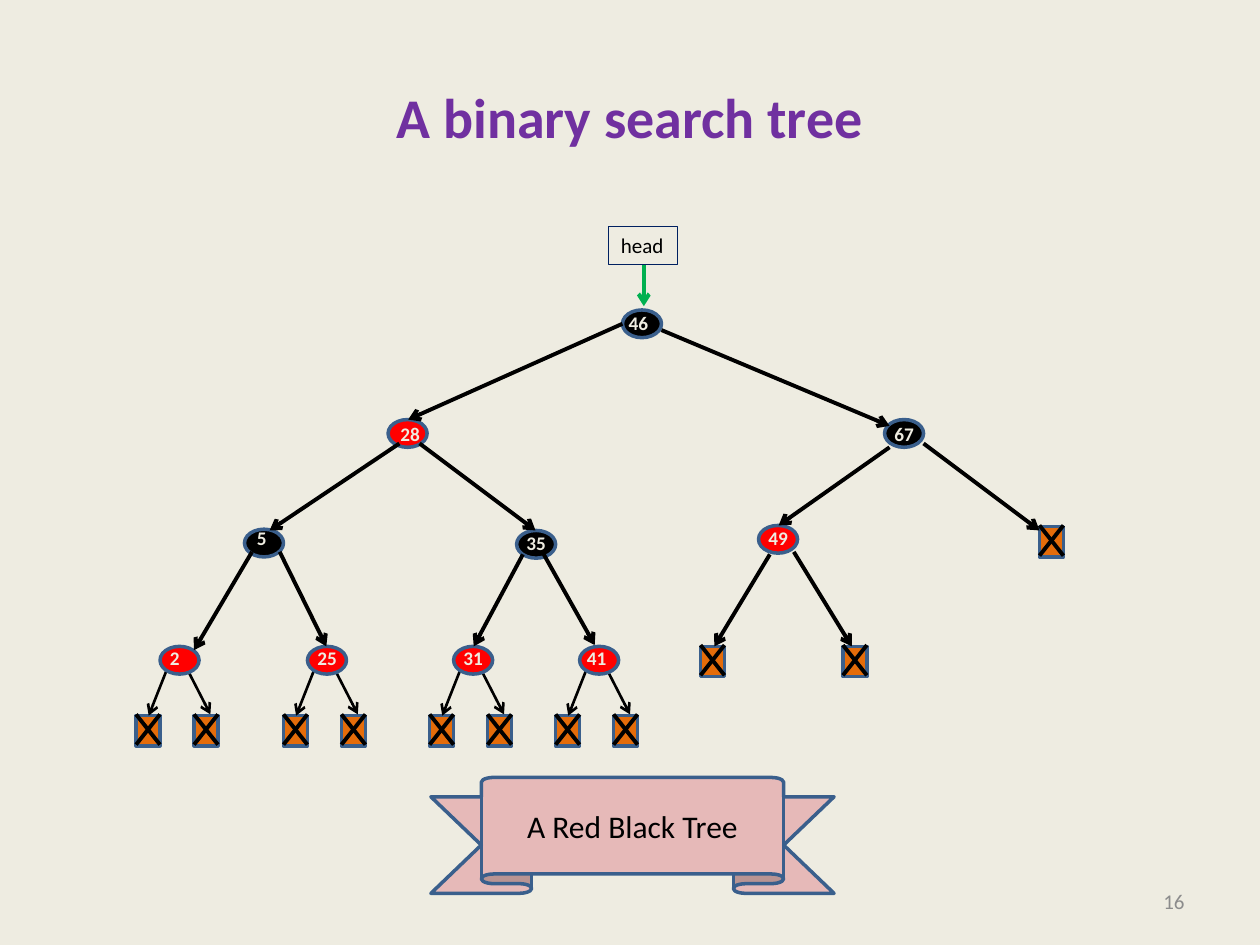
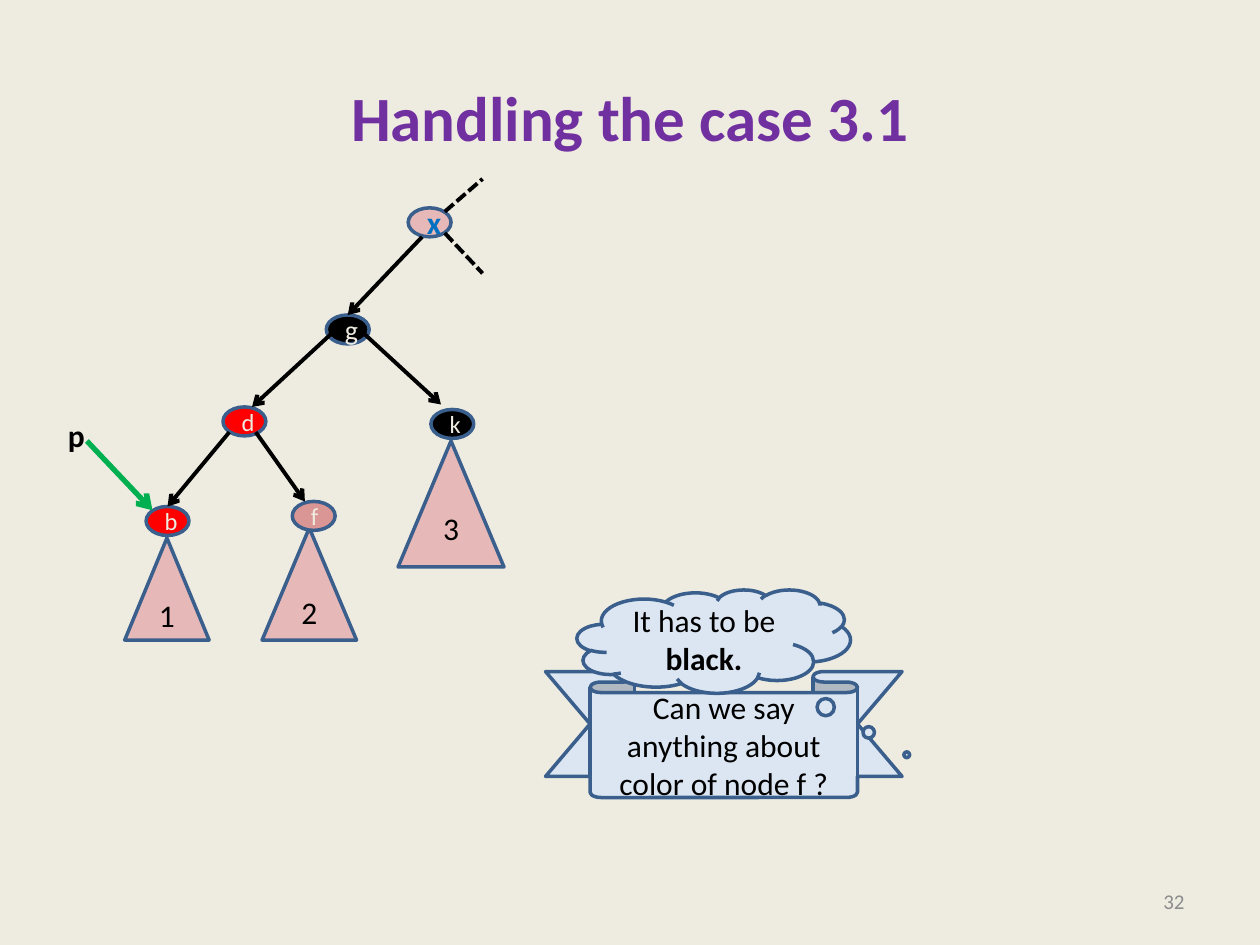
from lxml import etree
from pptx import Presentation
from pptx.dml.color import RGBColor
from pptx.enum.dml import MSO_LINE_DASH_STYLE as DASH
from pptx.enum.shapes import MSO_CONNECTOR, MSO_SHAPE
from pptx.enum.text import MSO_ANCHOR as ANCHOR, MSO_AUTO_SIZE, PP_ALIGN as ALIGN
from pptx.oxml.ns import qn
from pptx.util import Inches, Pt

COLORS = {
    "page": "EEECE1", "title": "7030A0", "number": "8C8C8C", "outline": "3A5F8C",
    "black": "000000", "red": "FF0000", "nil": "E46C0A", "pointer": "00B050",
    "frame": "002060", "pink": "E6B9B8", "rose": "D99694", "sky": "DCE6F2",
    "root": "0070C0",
}
FONT = "Calibri"
NODE = {"width": 0.31, "height": 0.22}
NIL = {"width": 0.19, "height": 0.24}
CASE_NODE = {"width": 0.34, "height": 0.23}

SEARCH_NODES = [
    ("46", 3.94, 0.66, "black", -0.05, -0.04),
    ("67", 6.02, 1.53, "black", -0.02, -0.03),
    ("28", 2.08, 1.53, "red", 0, -0.03),
    ("5", 0.94, 2.4, "black", 0, -0.07),
    ("35", 3.1, 2.41, "black", -0.02, -0.04),
    ("49", 5.02, 2.37, "red", -0.02, -0.04),
]
SEARCH_LEAVES = [
    ("2", 0.27, 3.33, "red", -0.02, -0.05),
    ("25", 1.44, 3.33, "red", -0.02, -0.05),
    ("31", 2.6, 3.33, "red", -0.02, -0.05),
    ("41", 3.6, 3.33, "red", -0.04, -0.05),
]
SEARCH_NILS = [(4.56, 3.33), (5.69, 3.33), (7.25, 2.38)]
SEARCH_EDGES = [
    (3.94, 0.77, 2.24, 1.53), (4.25, 0.82, 6.06, 1.58),
    (2.17, 1.72, 1.14, 2.41), (2.33, 1.72, 3.25, 2.41),
    (6.06, 1.75, 5.18, 2.37), (6.33, 1.72, 7.25, 2.41),
    (1, 2.58, 0.54, 3.36), (1.22, 2.58, 1.59, 3.33),
    (3.15, 2.6, 2.76, 3.33), (3.31, 2.59, 3.72, 3.32),
    (5.11, 2.6, 4.67, 3.33), (5.3, 2.58, 5.76, 3.33),
]

CASE_NODES = [
    ("x", 2.84, 0.25, "pink", {"size": 18, "bold": True, "color": "root"}),
    ("g", 2.19, 1.1, "black", {"size": 16}),
    ("d", 1.37, 1.83, "red", {}),
    ("b", 0.76, 2.62, "red", {}),
    ("k", 3.02, 1.85, "black", {}),
    ("f", 1.92, 2.58, "rose", {}),
]
CASE_EDGES = [
    (2.95, 0.48, 2.36, 1.1), (2.25, 1.23, 1.6, 1.83), (2.47, 1.23, 3.1, 1.81),
    (1.42, 2.03, 0.93, 2.62), (1.63, 2.03, 2.02, 2.58),
]
CASE_STUBS = [(3.13, 0.28, 3.43, 0.02), (3.13, 0.45, 3.43, 0.77)]
CASE_SUBTREES = [
    ("1", 0.59, 2.87, 0.67, 0.81, 0.05),
    ("2", 1.68, 2.79, 0.75, 0.89, 0.05),
    ("3", 2.76, 2.1, 0.84, 1, 0.17),
]


def rgb(name):
    """Look up a colour by its name."""
    return RGBColor.from_string(COLORS[name])


def write(tf, *texts, size=18, color="black", bold=False, align=ALIGN.CENTER,
          anchor=ANCHOR.MIDDLE):
    """Fill a text frame with one paragraph; a (text, bold) pair overrides bold."""
    tf.vertical_anchor = anchor
    p = tf.paragraphs[0]
    p.alignment = align
    for text in texts:
        text, strong = text if isinstance(text, tuple) else (text, bold)
        r = p.add_run()
        r.text = text
        for key, value in {"name": FONT, "size": Pt(size), "bold": strong}.items():
            setattr(r.font, key, value)
        r.font.color.rgb = rgb(color)


def add_label(s, x, y, width, height, text, **fmt):
    """Add a text box."""
    box = s.shapes.add_textbox(*map(Inches, (x, y, width, height)))
    write(box.text_frame, text, **fmt)


def add_figure(s, kind, x, y, width, height, fill=None, line="outline", weight=2):
    """Add an outlined preset shape, filled when a fill is named."""
    sp = s.shapes.add_shape(kind, *map(Inches, (x, y, width, height)))
    sp.shadow.inherit = False
    if fill:
        sp.fill.solid()
        sp.fill.fore_color.rgb = rgb(fill)
    else:
        sp.fill.background()
    sp.line.color.rgb = rgb(line)
    sp.line.width = Pt(weight)
    return sp


def add_line(s, x, y, ends, color="black", weight=2.25, arrow=True, dash=None):
    """Draw a line whose ends are given relative to the point x, y."""
    x1, y1, x2, y2 = ends
    line = s.shapes.add_connector(
        MSO_CONNECTOR.STRAIGHT, *map(Inches, (x + x1, y + y1, x + x2, y + y2)))
    line.line.color.rgb = rgb(color)
    line.line.width = Pt(weight)
    if dash:
        line.line.dash_style = dash
    if arrow:
        etree.SubElement(line.line._get_or_add_ln(), qn("a:tailEnd"), type="arrow")
    etree.SubElement(line._element.spPr, qn("a:effectLst"))


def add_nil(s, x, y):
    """Draw a crossed box for an empty child."""
    add_figure(s, MSO_SHAPE.RECTANGLE, x, y, **NIL, fill="nil")
    width, height = NIL.values()
    for ends in ((width, 0, 0, height), (0, 0, width, height)):
        add_line(s, x, y - 0.01, ends, arrow=False)


def add_nil_children(s, x, y):
    """Hang two empty children below the node at x, y."""
    for dx, ends in ((-0.19, (0.06, 0.17, -0.09, 0.55)),
                     (0.27, (0.21, 0.17, 0.4, 0.54))):
        add_nil(s, x + dx, y + 0.55)
        add_line(s, x, y, ends, weight=1.5)


def add_head(s, x, y):
    """Draw the head variable and its pointer."""
    add_line(s, x, y, (0.28, 0.3, 0.28, 0.63), color="pointer")
    sp = add_figure(s, MSO_SHAPE.RECTANGLE, x, y, 0.55, 0.3, line="frame", weight=0.75)
    write(sp.text_frame, "head", size=12, align=ALIGN.LEFT, anchor=ANCHOR.TOP)


def add_search_tree(s, left, top):
    """Draw the red black tree from its top left corner."""
    for _, x, y, *_ in SEARCH_LEAVES:
        add_nil_children(s, left + x, top + y)
    for x, y in SEARCH_NILS:
        add_nil(s, left + x, top + y)
    nodes = SEARCH_NODES + SEARCH_LEAVES
    for _, x, y, fill, *_ in nodes:
        add_figure(s, MSO_SHAPE.OVAL, left + x, top + y, **NODE, fill=fill)
    for ends in SEARCH_EDGES:
        add_line(s, left, top, ends)
    add_head(s, left + 3.83, top)
    for key, x, y, _, dx, dy in nodes:
        add_label(s, left + x + dx, top + y + dy, 0.2 + 0.08 * len(key), 0.29, key,
                  size=11, color="page", bold=True, align=ALIGN.LEFT,
                  anchor=ANCHOR.TOP)


def add_case_tree(s, left, top):
    """Draw the tree of the case, with its subtrees and the pointer p."""
    for text, x, y, width, height, inset in CASE_SUBTREES:
        sp = add_figure(s, MSO_SHAPE.ISOSCELES_TRIANGLE, left + x, top + y,
                        width, height, fill="pink")
        sp.text_frame.margin_bottom = Inches(inset)
        write(sp.text_frame, text)
    for text, x, y, fill, fmt in CASE_NODES:
        sp = add_figure(s, MSO_SHAPE.OVAL, left + x, top + y, **CASE_NODE, fill=fill)
        write(sp.text_frame, text, **{"size": 14, "color": "page", **fmt})
    for ends in CASE_EDGES:
        add_line(s, left, top, ends)
    for ends in CASE_STUBS:
        add_line(s, left, top, ends, arrow=False, dash=DASH.SQUARE_DOT)
    add_line(s, left, top, (0.29, 2.1, 0.81, 2.65), color="pointer", weight=3)
    add_label(s, left + 0.04, top + 1.85, 0.34, 0.4, "p", bold=True,
              align=ALIGN.LEFT, anchor=ANCHOR.TOP)


def add_callout(s, kind, box, fill, adjustments, *texts):
    """Draw a ribbon or cloud with centred text."""
    sp = add_figure(s, kind, *box, fill=fill)
    for i, value in enumerate(adjustments):
        sp.adjustments[i] = value
    write(sp.text_frame, *texts)


def add_slide(prs, title, size, number):
    """Add a slide with its background, title and number."""
    s = prs.slides.add_slide(prs.slide_layouts[5])
    s.background.fill.solid()
    s.background.fill.fore_color.rgb = rgb("page")
    sp = s.shapes.title
    for key, value in zip(("left", "top", "width", "height"), (0.5, 0.3, 9, 1.25)):
        setattr(sp, key, Inches(value))
    sp.text_frame.auto_size = MSO_AUTO_SIZE.NONE
    write(sp.text_frame, title, size=size, color="title", bold=True)
    add_label(s, 7.17, 6.95, 2.33, 0.4, number, size=12, color="number",
              align=ALIGN.RIGHT)
    return s


def main():
    """Build the two slides."""
    prs = Presentation()
    prs.slide_width, prs.slide_height = Inches(10), Inches(7.5)

    s = add_slide(prs, "A binary search tree", 32, "16")
    add_search_tree(s, 1, 1.8)
    add_callout(s, MSO_SHAPE.UP_RIBBON, (3.42, 6.17, 3.2, 0.92), "pink",
                (0.167, 0.75), "A Red Black Tree")

    s = add_slide(prs, "Handling the case 3.1", 36, "32")
    add_case_tree(s, 0.4, 1.4)
    add_callout(s, MSO_SHAPE.DOWN_RIBBON, (4.33, 5.33, 2.83, 1), "sky",
                (0.167, 0.75), "Can we say anything about color of node f ?")
    add_callout(s, MSO_SHAPE.CLOUD_CALLOUT, (4.58, 4.68, 2.17, 0.82), "sky",
                (0.706, 1.098), "It has to be ", ("black.", True))
    prs.save("out.pptx")


if __name__ == "__main__":
    main()
